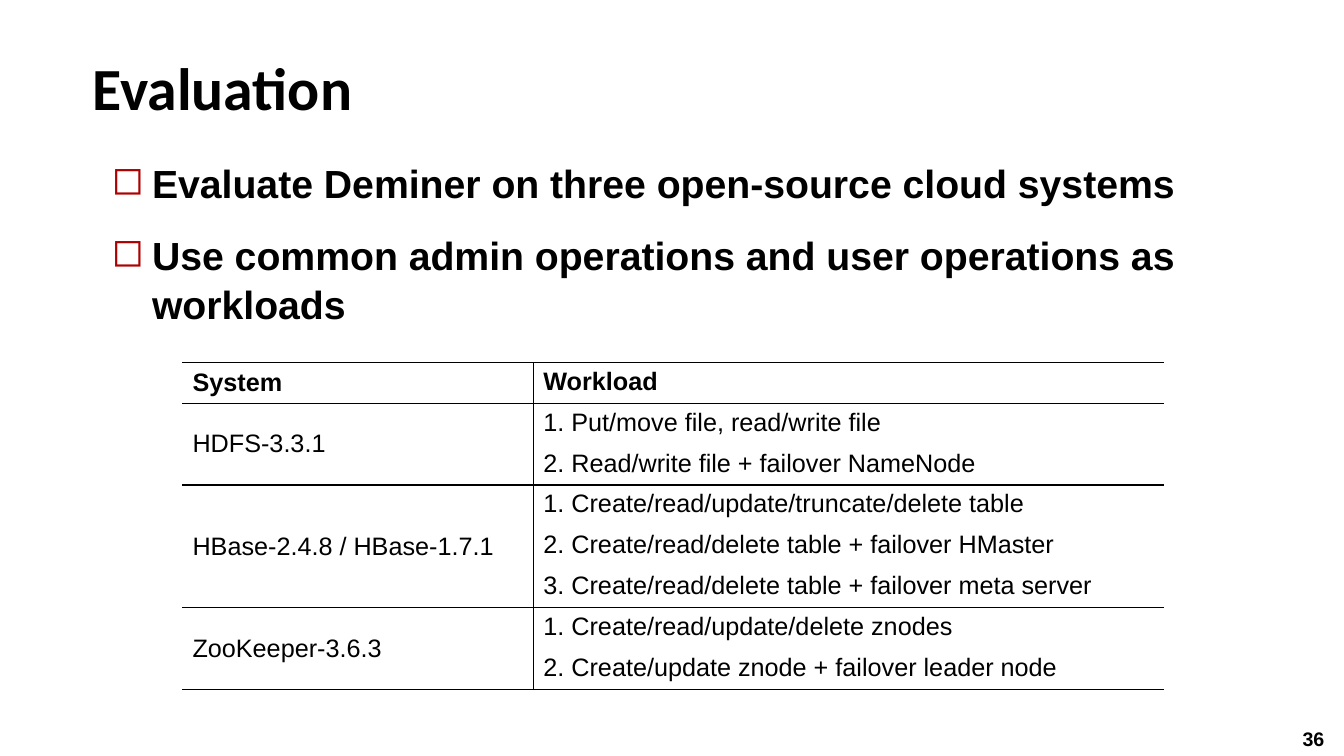
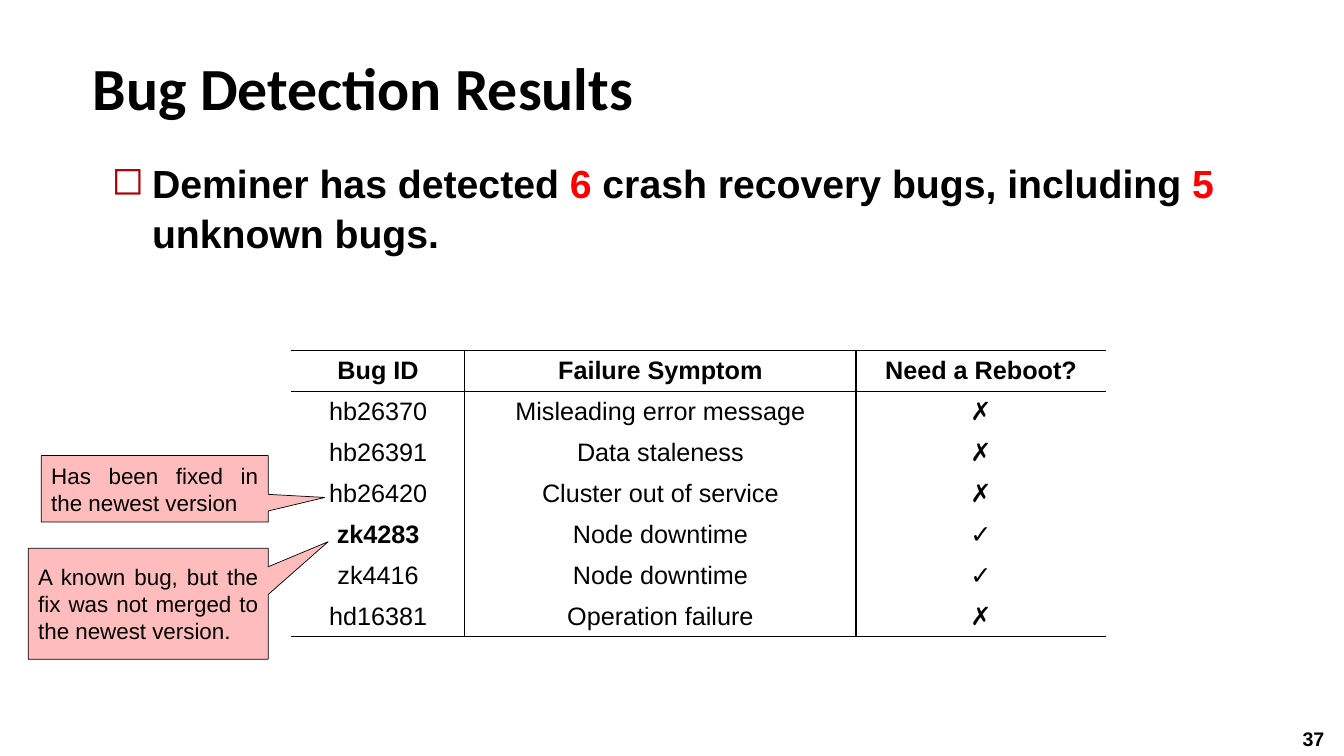
from lxml import etree
from pptx import Presentation
from pptx.dml.color import RGBColor
from pptx.enum.shapes import MSO_SHAPE
from pptx.enum.text import MSO_ANCHOR, MSO_AUTO_SIZE, PP_ALIGN
from pptx.oxml.ns import qn
from pptx.util import Inches, Pt

LEFT, CENTER, JUSTIFY = PP_ALIGN.LEFT, PP_ALIGN.CENTER, PP_ALIGN.JUSTIFY
TOP, MIDDLE, BOTTOM = MSO_ANCHOR.TOP, MSO_ANCHOR.MIDDLE, MSO_ANCHOR.BOTTOM
NO_FIT = MSO_AUTO_SIZE.NONE
CALLOUT = MSO_SHAPE.RECTANGULAR_CALLOUT
TITLE_ONLY = 5

BLACK, RED, BULLET_RED, PINK = "000000", "FF0000", "AD0101", "FFBCBC"
BODY_FONT, TITLE_FONT = "Arial", "Calibri"
ROW_HEIGHT = 2.84 / 7


def rgb(color):
    return RGBColor.from_string(color)


def add_text(p, text, size=18, color=BLACK, bold=False, font=BODY_FONT, align=LEFT):
    """Append one formatted run to paragraph p."""
    p.alignment = align
    r = p.add_run()
    r.text = text
    r.font.size, r.font.bold, r.font.name = Pt(size), bold, font
    r.font.color.rgb = rgb(color)


def add_box(s, left, top, width, height):
    tf = s.shapes.add_textbox(Inches(left), Inches(top), Inches(width), Inches(height)).text_frame
    tf.word_wrap = True
    return tf


def add_bullet(p):
    pPr = p._p.get_or_add_pPr()
    pPr.set("marL", str(Inches(0.4)))
    pPr.set("indent", str(-Inches(0.4)))
    color = etree.SubElement(pPr, qn("a:buClr"))
    etree.SubElement(color, qn("a:srgbClr"), val=BULLET_RED)
    etree.SubElement(pPr, qn("a:buChar"), char="◻")


def new_slide(prs, title, number):
    s = prs.slides.add_slide(prs.slide_layouts[TITLE_ONLY])
    sp = s.shapes.title
    sp.left, sp.top, sp.width, sp.height = (Inches(v) for v in (0.82, 0.34, 11.84, 0.93))
    tf = sp.text_frame
    tf.auto_size, tf.vertical_anchor = NO_FIT, BOTTOM
    p = tf.paragraphs[0]
    p.line_spacing = Pt(46.7)
    add_text(p, title, size=42.7, bold=True, font=TITLE_FONT)
    add_text(add_box(s, 12.82, 7.16, 0.48, 0.34).paragraphs[0], str(number), size=14, bold=True)
    return s


def add_bullets(s, height, items):
    """Each item is a list of (text, color) runs."""
    tf = add_box(s, 1.01, 1.51, 11.84, height)
    for i, runs in enumerate(items):
        p = tf.add_paragraph() if i else tf.paragraphs[0]
        add_bullet(p)
        p.line_spacing = 1.05
        if i:
            p.space_before = Pt(16)
        for text, color in runs:
            add_text(p, text, size=28, color=color, bold=True)


def set_borders(cell, **sides):
    """Draw a black line on each side (L, R, T, B) that is true, none on the others."""
    tcPr = cell._tc.get_or_add_tcPr()
    for side, shown in sides.items():
        ln = etree.SubElement(tcPr, qn("a:ln" + side), w=str(Pt(1)))
        if shown:
            fill = etree.SubElement(ln, qn("a:solidFill"))
            etree.SubElement(fill, qn("a:srgbClr"), val=BLACK)
        else:
            etree.SubElement(ln, qn("a:noFill"))


def add_ruled_table(s, left, top, widths, rows, rules, header_height=ROW_HEIGHT,
                    align=LEFT, anchors=(MIDDLE, MIDDLE, MIDDLE), bold_cells=()):
    """rules holds the row boundaries with a line; a None cell joins the one above."""
    heights = [header_height] + [ROW_HEIGHT] * (len(rows) - 1)
    table = s.shapes.add_table(len(rows), len(widths), Inches(left), Inches(top),
                               Inches(sum(widths)), Inches(sum(heights))).table
    table.first_row = table.horz_banding = False
    for column, width in zip(table.columns, widths):
        column.width = Inches(width)
    for row, height in zip(table.rows, heights):
        row.height = Inches(height)

    for r, values in enumerate(rows):
        for c, text in enumerate(values):
            cell = table.cell(r, c)
            end = r + 1
            while end < len(rows) and rows[end][c] is None:
                end += 1
            if text is not None:
                if end > r + 1:
                    cell.merge(table.cell(end - 1, c))
                add_text(cell.text_frame.paragraphs[0], text, align=align,
                         bold=r == 0 or text in bold_cells)
            cell.vertical_anchor = anchors[c]
            set_borders(cell, L=c > 0, R=c < len(widths) - 1, T=r in rules, B=end in rules)
            cell.fill.background()


def add_callout(s, left, top, width, height, text, tip):
    """tip is the pointer's offset from the centre, in shares of the box."""
    sp = s.shapes.add_shape(CALLOUT, Inches(left), Inches(top), Inches(width), Inches(height))
    sp.shadow.inherit = False
    sp.adjustments[0], sp.adjustments[1] = tip
    sp.fill.solid()
    sp.fill.fore_color.rgb = rgb(PINK)
    sp.line.color.rgb = rgb(BLACK)
    sp.line.width = Pt(0.5)
    tf = sp.text_frame
    tf.word_wrap, tf.vertical_anchor = True, MIDDLE
    add_text(tf.paragraphs[0], text, size=16, align=JUSTIFY)


def build_evaluation(prs):
    s = new_slide(prs, "Evaluation", 36)
    add_bullets(s, 1.74, [
        [("Evaluate Deminer on three open-source cloud systems", BLACK)],
        [("Use common admin operations and user operations as workloads", BLACK)],
    ])
    rows = [
        ("System", "Workload"),
        ("HDFS-3.3.1", "1. Put/move file, read/write file"),
        (None, "2. Read/write file + failover NameNode"),
        ("HBase-2.4.8 / HBase-1.7.1", "1. Create/read/update/truncate/delete table"),
        (None, "2. Create/read/delete table + failover HMaster"),
        (None, "3. Create/read/delete table + failover meta server"),
        ("ZooKeeper-3.6.3", "1. Create/read/update/delete znodes"),
        (None, "2. Create/update znode + failover leader node"),
    ]
    rules = {i for i, row in enumerate(rows) if row[0]} | {len(rows)}
    add_ruled_table(s, 1.81, 3.6, (3.48, 6.25), rows, rules,
                    header_height=0.38, anchors=(MIDDLE, TOP))


def build_results(prs):
    s = new_slide(prs, "Bug Detection Results", 37)
    add_bullets(s, 1.04, [[
        ("Deminer has detected ", BLACK), ("6", RED),
        (" crash recovery bugs, including ", BLACK), ("5", RED), (" unknown bugs.", BLACK),
    ]])
    rows = [
        ("Bug ID", "Failure Symptom", "Need a Reboot?"),
        ("hb26370", "Misleading error message", "✗"),
        ("hb26391", "Data staleness", "✗"),
        ("hb26420", "Cluster out of service", "✗"),
        ("zk4283", "Node downtime", "✓"),
        ("zk4416", "Node downtime", "✓"),
        ("hd16381", "Operation failure", "✗"),
    ]
    add_ruled_table(s, 2.89, 3.48, (1.72, 3.88, 2.48), rows, {0, 1, len(rows)},
                    align=CENTER, bold_cells=("zk4283",))
    add_callout(s, 0.28, 5.44, 2.38, 1.1,
                "A known bug, but the fix was not merged to the newest version.", (0.75, -0.56))
    add_callout(s, 0.41, 4.52, 2.25, 0.66,
                "Has been fixed in the newest version", (0.75, 0.13))


def main():
    prs = Presentation()
    prs.slide_width, prs.slide_height = Inches(13.33), Inches(7.5)
    build_evaluation(prs)
    build_results(prs)
    prs.save("out.pptx")


if __name__ == "__main__":
    main()
